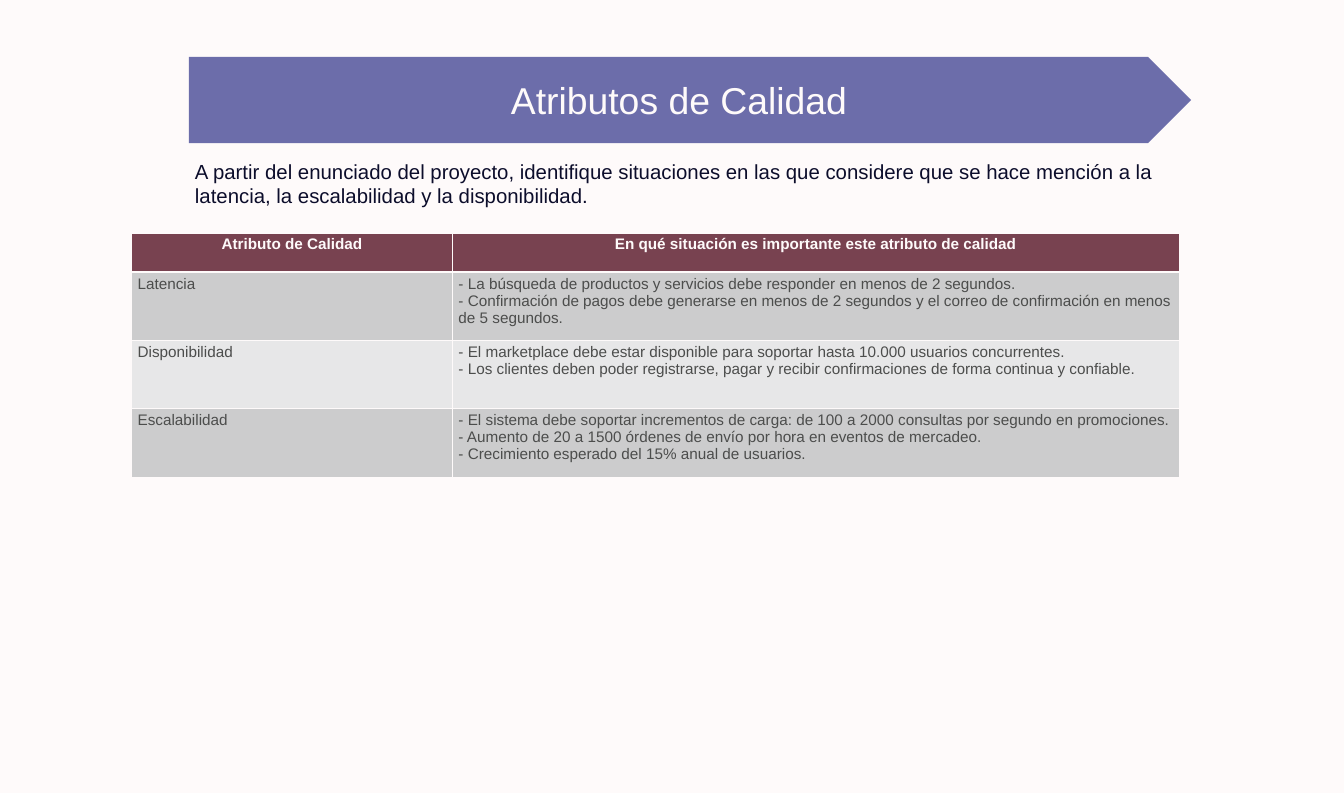
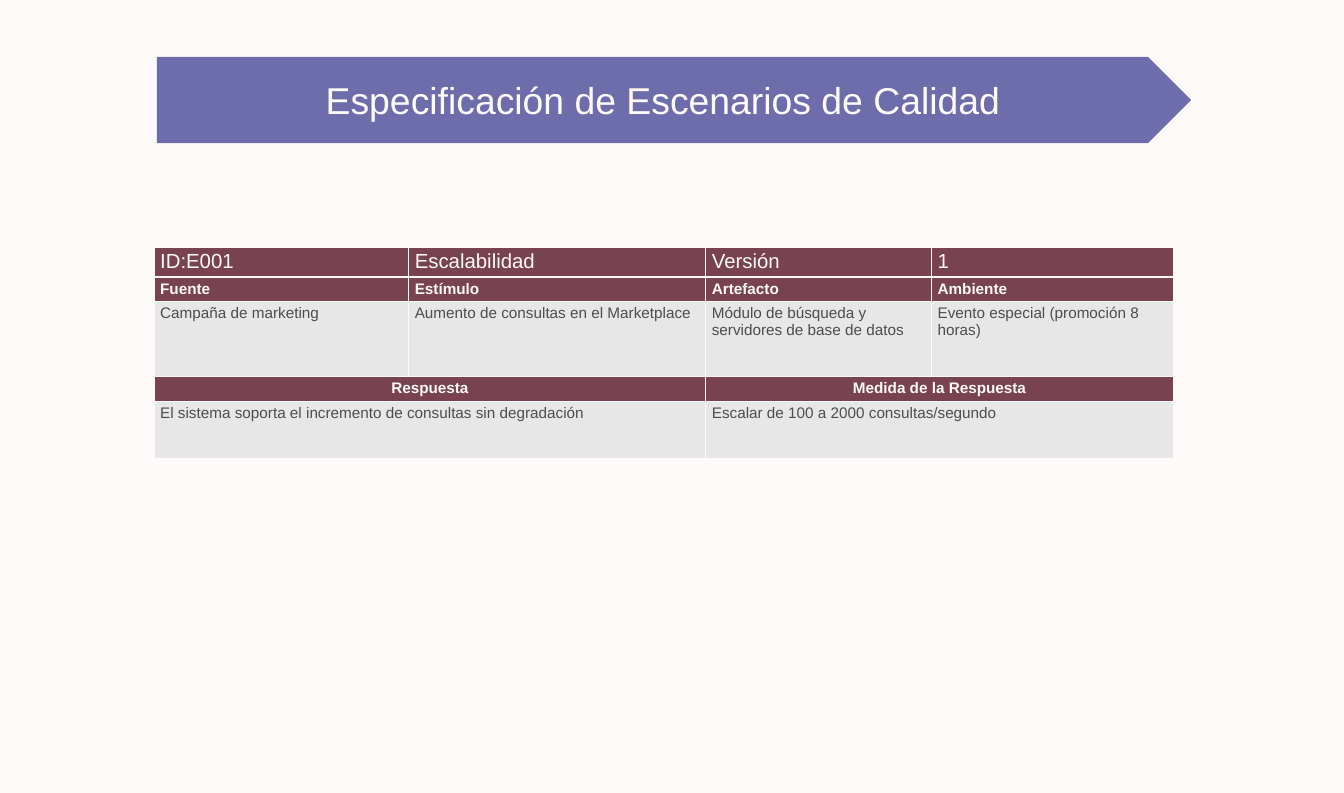
from dataclasses import dataclass

from lxml.etree import SubElement
from pptx import Presentation
from pptx.dml.color import RGBColor
from pptx.enum.shapes import MSO_SHAPE
from pptx.enum.text import MSO_ANCHOR, MSO_AUTO_SIZE, PP_ALIGN
from pptx.oxml.ns import qn
from pptx.util import Pt


@dataclass(frozen=True)
class Theme:
    font: str = "Arial"
    background: str = "FEFAFA"
    band: str = "252884"
    band_opacity: int = 67
    ink: str = "0C0D2B"
    header: str = "784250"
    dark_row: str = "CCCCCD"
    light_row: str = "E7E7E8"
    cell_text: str = "4C4D4C"
    title_size: int = 44
    lead_size: int = 24
    cell_size: int = 18
    thin_border: int = 1
    thick_border: int = 3


theme = Theme()
LEFT, CENTER = PP_ALIGN.LEFT, PP_ALIGN.CENTER


def write(frame, text, size=theme.cell_size, color=theme.cell_text,
          bold=False, align=LEFT, anchor=MSO_ANCHOR.TOP):
    """Fill a text frame, one unbulleted paragraph for each line of text."""
    frame.word_wrap = True
    frame.vertical_anchor = anchor
    frame.text = text
    for paragraph in frame.paragraphs:
        paragraph.alignment = align
        paragraph.space_before = Pt(0)
        properties = paragraph._p.get_or_add_pPr()
        properties.set("marL", "0")
        properties.set("indent", "0")
        SubElement(properties, qn("a:buNone"))
        paragraph.font.name = theme.font
        paragraph.font.size = Pt(size)
        paragraph.font.bold = bold
        paragraph.font.color.rgb = RGBColor.from_string(color)


def add_borders(cell, top, bottom):
    properties = cell._tc.get_or_add_tcPr()
    widths = {"L": theme.thin_border, "R": theme.thin_border, "T": top, "B": bottom}
    for side, width in widths.items():
        line = SubElement(properties, qn(f"a:ln{side}"), w=str(Pt(width)))
        fill = SubElement(line, qn("a:solidFill"))
        SubElement(fill, qn("a:srgbClr"), val=theme.background)


# Row formats: fill colour and text format
HEADING = dict(color=theme.background, bold=True)
CENTERED = (theme.header, dict(HEADING, align=CENTER))
LEAD = (theme.header, dict(color=theme.background, size=theme.lead_size))
DARK = (theme.dark_row, {})
LIGHT = (theme.light_row, {})

# A None cell is merged with the cell on its left
pages = [
    dict(
        title="Atributos de Calidad",
        band_left=222.5,
        intro="A partir del enunciado del proyecto, identifique situaciones en las que "
              "considere que se hace mención a la latencia, la escalabilidad y la disponibilidad.",
        table_at=(155, 274.5),
        columns=[378, 856],
        rows=[
            (46, CENTERED, ["Atributo de Calidad",
                            "En qué situación es importante este atributo de calidad"]),
            (80.5, DARK, [
                "Latencia",
                "- La búsqueda de productos y servicios debe responder en menos de 2 segundos.\n"
                "- Confirmación de pagos debe generarse en menos de 2 segundos y el correo de "
                "confirmación en menos de 5 segundos."]),
            (80.5, LIGHT, [
                "Disponibilidad",
                "- El marketplace debe estar disponible para soportar hasta 10.000 usuarios "
                "concurrentes.\n"
                "- Los clientes deben poder registrarse, pagar y recibir confirmaciones de forma "
                "continua y confiable."]),
            (80.5, DARK, [
                "Escalabilidad",
                "- El sistema debe soportar incrementos de carga: de 100 a 2000 consultas por "
                "segundo en promociones.\n"
                "- Aumento de 20 a 1500 órdenes de envío por hora en eventos de mercadeo.\n"
                "- Crecimiento esperado del 15% anual de usuarios."]),
        ],
    ),
    dict(
        title="Especificación de Escenarios de Calidad",
        band_left=185,
        intro=None,
        table_at=(181.5, 291.5),
        columns=[300, 350, 266, 285],
        rows=[
            (35, LEAD, ["ID:E001", "Escalabilidad", "Versión", "1"]),
            (29, (theme.header, HEADING), ["Fuente", "Estímulo", "Artefacto", "Ambiente"]),
            (88, LIGHT, ["Campaña de marketing", "Aumento de consultas en el Marketplace",
                         "Módulo de búsqueda y servidores de base de datos",
                         "Evento especial (promoción 8 horas)"]),
            (29, CENTERED, ["Respuesta", None, "Medida de la Respuesta", None]),
            (67.5, LIGHT, ["El sistema soporta el incremento de consultas sin degradación", None,
                           "Escalar de 100 a 2000 consultas/segundo", None]),
        ],
    ),
]

BAND_TOP, BAND_RIGHT, BAND_HEIGHT = 67, 1403.5, 101.5
INTRO_TOP, INTRO_HEIGHT = 183.5, 65.5

presentation = Presentation()
presentation.slide_width = Pt(1583.5)
presentation.slide_height = Pt(934)
background = presentation.slide_master.background.fill
background.solid()
background.fore_color.rgb = RGBColor.from_string(theme.background)
title_and_content = presentation.slide_layouts[1]
title_only = presentation.slide_layouts[5]

for page in pages:
    slide = presentation.slides.add_slide(title_and_content if page["intro"] else title_only)
    band_left = page["band_left"]
    band_width = BAND_RIGHT - band_left

    # Arrow band, placed behind the title
    band = slide.shapes.add_shape(MSO_SHAPE.PENTAGON, Pt(band_left), Pt(BAND_TOP),
                                  Pt(band_width), Pt(BAND_HEIGHT))
    band.shadow.inherit = False
    band.line.fill.background()
    band.fill.solid()
    band.fill.fore_color.rgb = RGBColor.from_string(theme.band)
    band_color = band._element.spPr.find(qn("a:solidFill")).find(qn("a:srgbClr"))
    SubElement(band_color, qn("a:alpha"), val=str(theme.band_opacity * 1000))
    title = slide.shapes.title
    title._element.addprevious(band._element)

    # The title leaves out half of the arrow tip
    title.left, title.top = Pt(band_left), Pt(BAND_TOP)
    title.width, title.height = Pt(band_width - BAND_HEIGHT / 4), Pt(BAND_HEIGHT)
    title.text_frame.auto_size = MSO_AUTO_SIZE.NONE
    write(title.text_frame, page["title"], size=theme.title_size, color=theme.background,
          align=CENTER, anchor=MSO_ANCHOR.MIDDLE)

    if page["intro"]:
        intro = slide.placeholders[1]
        intro.left, intro.top = Pt(band_left), Pt(INTRO_TOP)
        intro.width, intro.height = Pt(band_width), Pt(INTRO_HEIGHT)
        intro.text_frame.auto_size = MSO_AUTO_SIZE.NONE
        write(intro.text_frame, page["intro"], size=theme.lead_size, color=theme.ink)

    table_left, table_top = page["table_at"]
    columns, rows = page["columns"], page["rows"]
    table = slide.shapes.add_table(len(rows), len(columns), Pt(table_left), Pt(table_top),
                                   Pt(sum(columns)), Pt(sum(row[0] for row in rows))).table
    for column, width in zip(table.columns, columns):
        column.width = Pt(width)
    for row_index, (height, (fill_color, text_format), texts) in enumerate(rows):
        table.rows[row_index].height = Pt(height)
        top = theme.thick_border if row_index == 1 else theme.thin_border
        bottom = theme.thick_border if row_index == 0 else theme.thin_border
        for column_index, text in enumerate(texts):
            cell = table.cell(row_index, column_index)
            add_borders(cell, top, bottom)
            cell.fill.solid()
            cell.fill.fore_color.rgb = RGBColor.from_string(fill_color)
            if text is None:
                table.cell(row_index, column_index - 1).merge(cell)
            else:
                write(cell.text_frame, text, **text_format)

presentation.save("out.pptx")
